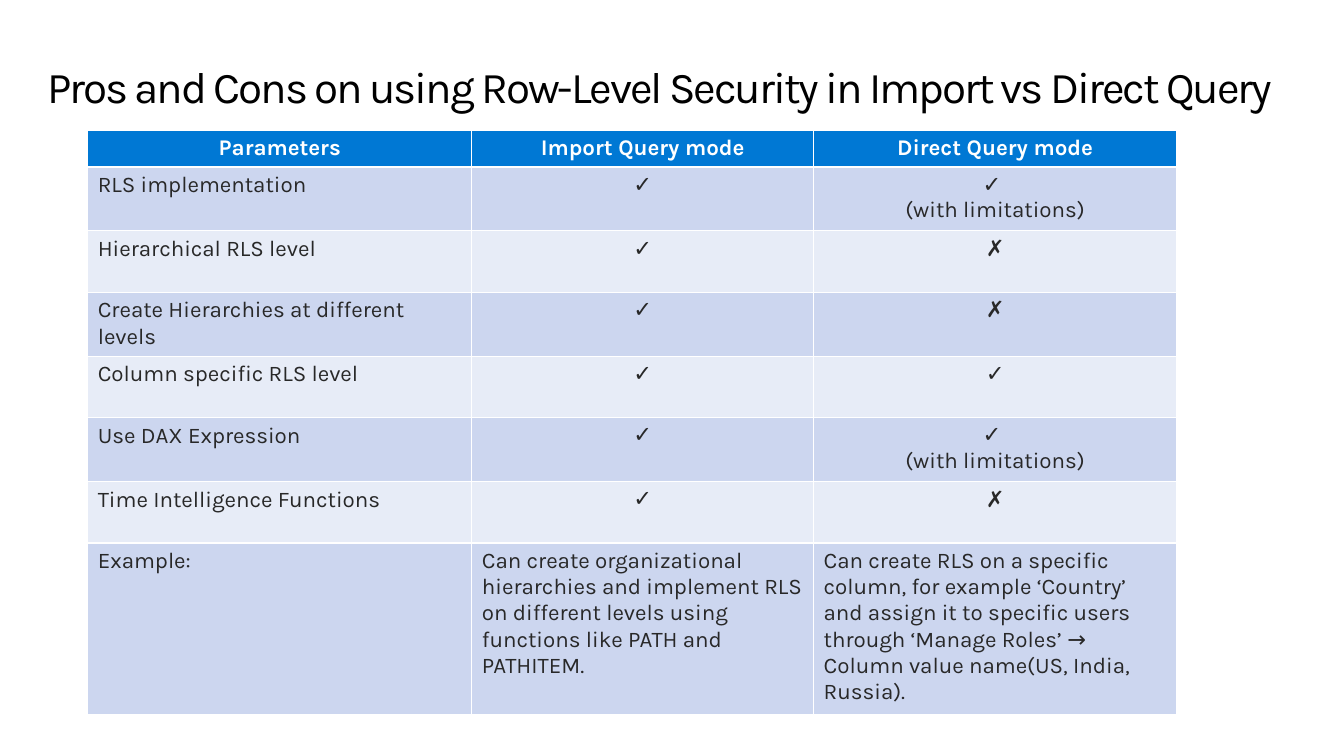
"""Build a slide comparing row-level security in two query modes."""
from pptx import Presentation
from pptx import util as u
from pptx.dml.color import RGBColor
from pptx.enum import text

TITLE = "Pros and Cons on using Row-Level Security in Import vs Direct Query"
YES, NO, LIMITED = "✓", "✗", "✓ \n(with limitations)"
HEADER = ("Parameters", "Import Query mode", "Direct Query mode")
FEATURES = [
    ("RLS implementation", YES, LIMITED),
    ("Hierarchical RLS level", YES, NO),
    ("Create Hierarchies at different levels", YES, NO),
    ("Column specific RLS level", YES, YES),
    ("Use DAX Expression", YES, LIMITED),
    ("Time Intelligence Functions", YES, NO),
]
EXAMPLE = (
    "Example:",
    "Can create organizational hierarchies and implement RLS on different levels "
    "using functions like PATH and PATHITEM.",
    "Can create RLS on a specific column, for example ‘Country’ and assign it to "
    "specific users through ‘Manage Roles’ → Column value name(US, India, Russia).",
)
COLUMN_WIDTHS = (3.81, 3.39, 3.6)
ROW_HEIGHTS = [0.35] + [0.61] * len(FEATURES) + [1.65]
HEADER_FILL, BANDS = "0078D4", ("E7ECF7", "CCD6EF")


def color(value):
    return RGBColor.from_string(value)


def write(frame, content, size=16, ink="282828", bold=False, centered=False,
          tracking=None, line_spacing=None):
    para = frame.paragraphs[0]
    para.alignment = text.PP_ALIGN.CENTER if centered else text.PP_ALIGN.LEFT
    if line_spacing:
        para.line_spacing = line_spacing
    for index, line in enumerate(content.split("\n")):
        if index:
            para.add_line_break()
        span = para.add_run()
        span.text = line
        span.font.name = "Arial" if line.startswith(YES) else "Karla"
        span.font.size = u.Pt(size)
        span.font.bold = bold
        span.font.color.rgb = color(ink)
        if tracking:
            span.font._element.set("spc", str(int(tracking * 100)))


def add_title(page):
    box = page.shapes.add_textbox(u.Inches(0.47), u.Inches(0.48), u.Inches(12.4), u.Inches(0.81))
    frame = box.text_frame
    frame.word_wrap = True
    frame.vertical_anchor = text.MSO_ANCHOR.MIDDLE
    frame.margin_left = frame.margin_top = frame.margin_bottom = 0
    frame.margin_right = u.Inches(0.18)
    write(frame, TITLE, size=31.4, ink="000000", tracking=-1.5, line_spacing=0.9)


def add_comparison(page):
    rows = [HEADER, *FEATURES, EXAMPLE]
    table = page.shapes.add_table(
        len(rows), len(HEADER), u.Inches(0.87), u.Inches(1.29),
        u.Inches(sum(COLUMN_WIDTHS)), u.Inches(sum(ROW_HEIGHTS))).table
    for column, width in zip(table.columns, COLUMN_WIDTHS):
        column.width = u.Inches(width)
    for row_index, (row, height) in enumerate(zip(rows, ROW_HEIGHTS)):
        table.rows[row_index].height = u.Inches(height)
        is_header = row is HEADER
        for column_index, content in enumerate(row):
            cell = table.cell(row_index, column_index)
            cell.fill.solid()
            cell.fill.fore_color.rgb = color(HEADER_FILL if is_header else BANDS[row_index % 2])
            write(cell.text_frame, content, bold=is_header,
                  ink="FFFFFF" if is_header else "282828",
                  centered=is_header or (column_index > 0 and row is not EXAMPLE))


def main():
    deck = Presentation()
    deck.slide_width, deck.slide_height = u.Inches(13.33), u.Inches(7.5)
    page = deck.slides.add_slide(deck.slide_layouts[6])
    add_title(page)
    add_comparison(page)
    deck.save("out.pptx")


if __name__ == "__main__":
    main()
